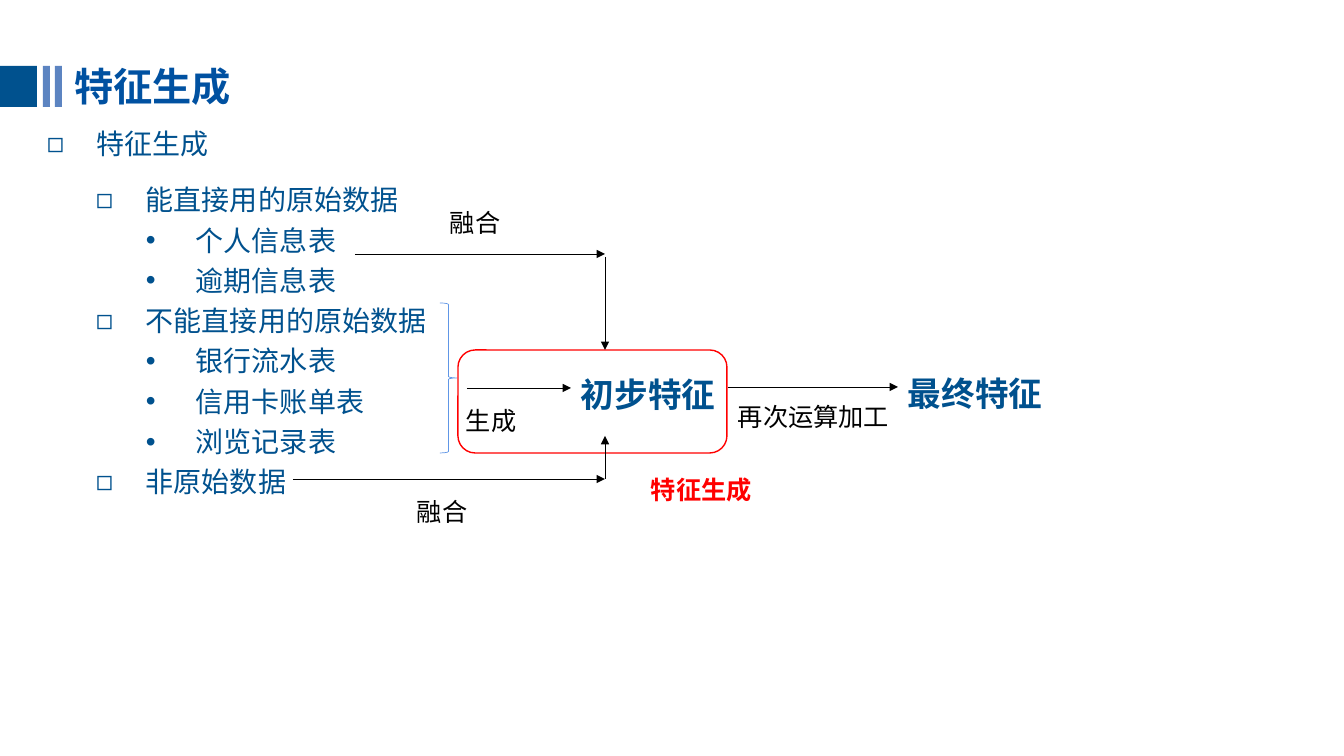
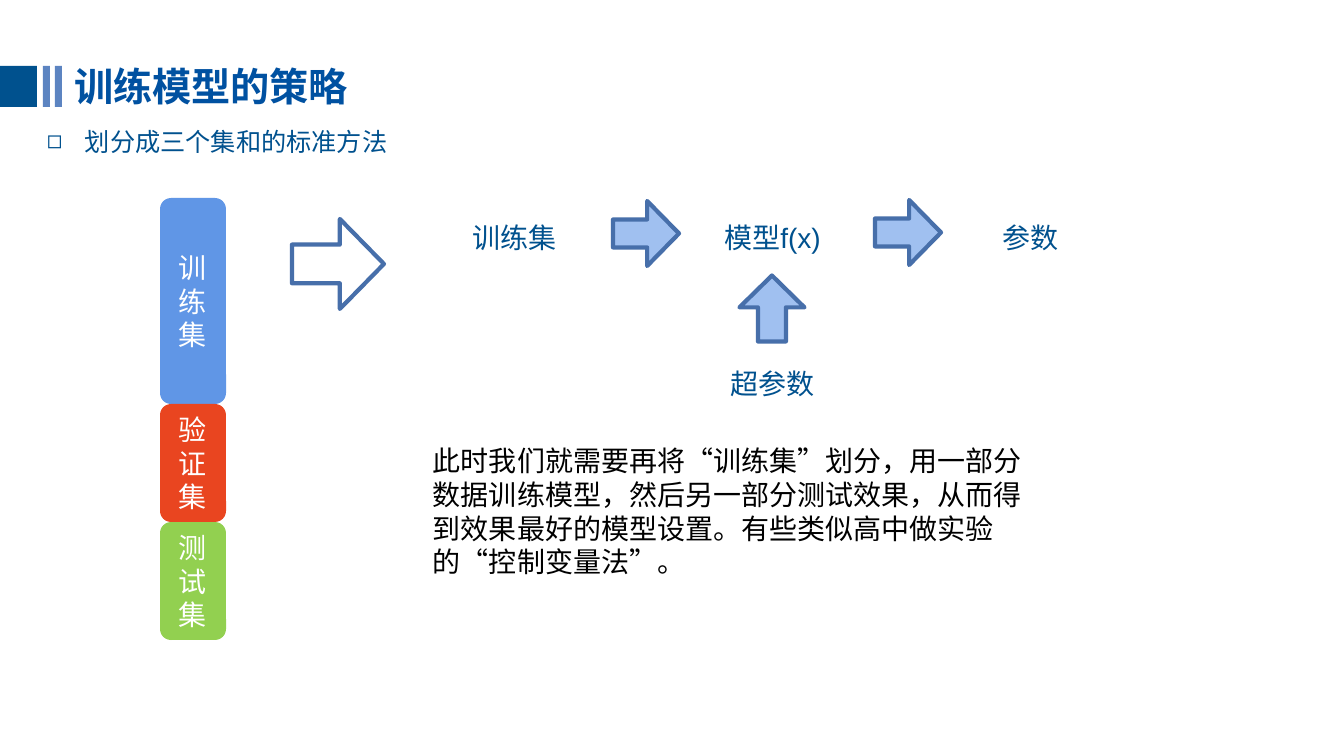
from lxml.etree import SubElement
from pptx import Presentation
from pptx.dml.color import RGBColor
from pptx.enum.shapes import MSO_CONNECTOR, MSO_SHAPE
from pptx.enum.text import MSO_ANCHOR, MSO_AUTO_SIZE, PP_ALIGN
from pptx.oxml.ns import qn
from pptx.util import Pt

SCALE = 9144000 / 1008
COLORS = {
    "title": "0051A1", "navy": "00518E", "stripe": "5C84C1",
    "blue": "6096E6", "pale": "A0C0F0", "edge": "476FAA",
    "red": "FF0000", "orange": "E94520", "green": "92D050",
    "black": "000000", "white": "FFFFFF",
}
CJK = "Noto Sans CJK SC"

# Text styles: font attributes plus a colour key
STYLES = {
    "title": ({"size": Pt(28), "bold": True, "name": CJK}, "title"),
    "body": ({"size": Pt(20), "name": "Arial"}, "navy"),
    "lead": ({"size": Pt(18), "name": "Arial"}, "navy"),
    "key": ({"size": Pt(24), "bold": True, "name": "Arial"}, "navy"),
    "label": ({"size": Pt(18), "name": "Arial"}, "black"),
    "alert": ({"size": Pt(18), "bold": True, "name": "Arial"}, "red"),
    "note": ({"size": Pt(20), "name": "Arial"}, "black"),
    "bar": ({"size": Pt(20), "name": CJK}, "white"),
}

# Bands beside the title: left, width, colour
BANDS = [(0, 37, "navy"), (43, 7, "stripe"), (55, 7, "stripe")]

# Slide 1
SOURCES = [
    ("能直接用的原始数据", ["个人信息表", "逾期信息表"]),
    ("不能直接用的原始数据", ["银行流水表", "信用卡账单表", "浏览记录表"]),
    ("非原始数据", []),
]
FIRST = ("初步特征", (571, 361, 676, 54))
FINAL = ("最终特征", (898, 360, 416, 54))
NOTES = [
    ("融合", (440, 202, 72, 40), "label"),
    ("生成", (456, 400, 72, 40), "label"),
    ("融合", (407, 491, 72, 40), "label"),
    ("再次运算加工", (728, 396, 173, 40), "label"),
    ("特征生成", (641, 469, 122, 40), "alert"),
]
MERGES = [
    ((355, 254), (605, 254)), ((605, 257), (605, 350)),
    ((293, 479), (605, 479)), ((605, 479), (605, 436)),
]

# Slide 2
BARS = [("训练集", 206, "blue"), ("验证集", 118, "orange"),
        ("测试集", 118, "green")]
STEPS = ["训练集", "模型f(x)", "参数"]
HYPER = "超参数"
ARROWS = [
    ((292, 219, 92, 90), None, 0),
    ((613, 201, 66, 65), "pale", 0),
    ((875, 200, 66, 65), "pale", 0),
    ((739, 276, 66, 65), "pale", 270),
]
REMARK = ("此时我们就需要再将“训练集”划分，用一部分数据训练模型，然后另一部分"
          "测试效果，从而得到效果最好的模型设置。有些类似高中做实验的“控制变量法”。")


def px(n):
    return round(n * SCALE)


def rgb(key):
    return RGBColor.from_string(COLORS[key])


def write(para, text, style):
    run = para.add_run()
    run.text = text
    attrs, color = STYLES[style]
    for name, value in attrs.items():
        setattr(run.font, name, value)
    run.font.color.rgb = rgb(color)
    SubElement(run.font._element, qn("a:ea"), typeface=CJK)


def bullet(para, char, left, hang):
    props = para._p.get_or_add_pPr()
    props.set("marL", str(px(left)))
    props.set("indent", str(-px(hang)))
    SubElement(props, qn("a:buFont"), typeface="Arial")
    SubElement(props, qn("a:buChar"), char=char)


def frame(shape, wrap=True, anchor=MSO_ANCHOR.TOP):
    area = shape.text_frame
    area.word_wrap = wrap
    area.auto_size = MSO_AUTO_SIZE.NONE
    area.vertical_anchor = anchor
    return area


def add_text(slide, text, box, style, wrap=True, space=None, align=None):
    shape = slide.shapes.add_textbox(*map(px, box))
    para = frame(shape, wrap).paragraphs[0]
    para.line_spacing = space
    para.alignment = align
    write(para, text, style)
    return shape


def add_list(slide, items, box, style, hang):
    """Draw (text, level) items; level 0 has a square, level 1 a dot."""
    area = frame(slide.shapes.add_textbox(*map(px, box)))
    for i, (text, level) in enumerate(items):
        para = area.add_paragraph() if i else area.paragraphs[0]
        para.level = level
        para.line_spacing = 1.2
        bullet(para, "◻•"[level], hang * (level + 1), hang)
        write(para, text, style)


def add_form(slide, kind, box, fill=None, line=None, width=1):
    shape = slide.shapes.add_shape(kind, *map(px, box))
    shape.shadow.inherit = False
    if fill:
        shape.fill.solid()
        shape.fill.fore_color.rgb = rgb(fill)
    else:
        shape.fill.background()
    if line:
        shape.line.color.rgb = rgb(line)
        shape.line.width = Pt(width)
    else:
        shape.line.fill.background()
    return shape


def add_arrow(slide, start, end, target=None):
    """Draw an arrow, joined to the left side of target if there is one."""
    link = slide.shapes.add_connector(
        MSO_CONNECTOR.STRAIGHT, *map(px, (*start, *end)))
    link.line.color.rgb = rgb("black")
    link.line.width = Pt(0.5)
    SubElement(link.line._get_or_add_ln(), qn("a:tailEnd"), type="triangle")
    SubElement(link._element.spPr, qn("a:effectLst"))
    if target is not None:
        link.end_connect(target, 1)


def add_slide(deck, title):
    slide = deck.slides.add_slide(deck.slide_layouts[5])
    head = slide.shapes.title
    place = zip(("left", "top", "width", "height"), (64, 57, 550, 57))
    for name, value in place:
        setattr(head, name, px(value))
    para = frame(head).paragraphs[0]
    para.alignment = PP_ALIGN.LEFT
    para.space_before = Pt(0)
    write(para, title, "title")
    for left, width, color in BANDS:
        add_form(slide, MSO_SHAPE.RECTANGLE, (left, 66, width, 41), color)
    return slide


def build_features(deck):
    slide = add_slide(deck, "特征生成")
    add_list(slide, [("特征生成", 0)], (37, 115, 1223, 47), "body", 50)
    items = []
    for group, tables in SOURCES:
        items += [(group, 0), *((table, 1) for table in tables)]
    add_list(slide, items, (86, 171, 1040, 373), "body", 50)
    add_form(slide, MSO_SHAPE.RIGHT_BRACE, (440, 303, 17, 150),
             line="blue", width=0.5)
    add_form(slide, MSO_SHAPE.ROUNDED_RECTANGLE, (458, 350, 269, 103),
             line="red")
    for (text, box), start in ((FIRST, 467), (FINAL, 728)):
        target = add_text(slide, text, box, "key", space=1.2)
        mid = box[1] + box[3] // 2
        add_arrow(slide, (start, mid), (box[0], mid), target)
    for start, end in MERGES:
        add_arrow(slide, start, end)
    for text, box, style in NOTES:
        add_text(slide, text, box, style, wrap=False)


def build_training(deck):
    slide = add_slide(deck, "训练模型的策略")
    add_list(slide, [("划分成三个集和的标准方法", 0)], (37, 115, 954, 43),
             "lead", 38)
    top = 198
    for text, height, color in BARS:
        bar = add_form(slide, MSO_SHAPE.ROUNDED_RECTANGLE,
                       (160, top, 66, height), color)
        para = frame(bar, anchor=MSO_ANCHOR.MIDDLE).paragraphs[0]
        para.alignment = PP_ALIGN.CENTER
        write(para, text, "bar")
        top += height
    for box, fill, turn in ARROWS:
        arrow = add_form(slide, MSO_SHAPE.RIGHT_ARROW, box, fill, "edge", 3)
        arrow.adjustments[0] = 0.43
        arrow.adjustments[1] = 0.49
        arrow.rotation = turn
    spots = [(text, 445 + 258 * i, 209) for i, text in enumerate(STEPS)]
    for text, left, y in [*spots, (HYPER, spots[1][1], 355)]:
        add_text(slide, text, (left, y, 139, 47), "body", space=1.2,
                 align=PP_ALIGN.CENTER)
    add_text(slide, REMARK, (423, 439, 632, 146), "note")


def main():
    deck = Presentation()
    deck.slide_width, deck.slide_height = px(1344), px(756)
    build_features(deck)
    build_training(deck)
    deck.save("out.pptx")


if __name__ == "__main__":
    main()
